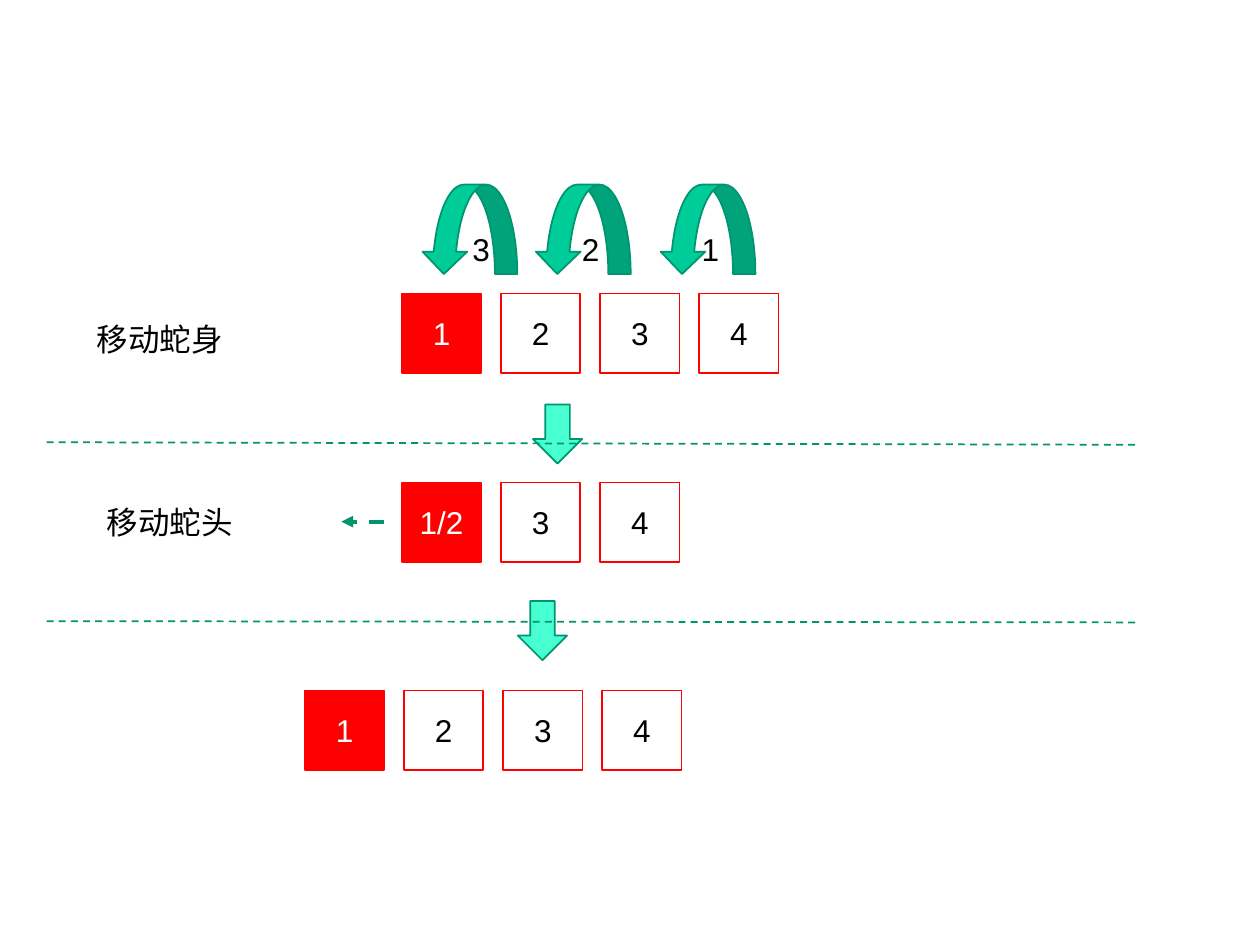
from dataclasses import dataclass

from lxml.etree import SubElement
from pptx import Presentation
from pptx.dml.color import RGBColor
from pptx.enum.dml import MSO_LINE
from pptx.enum.shapes import MSO_CONNECTOR, MSO_SHAPE
from pptx.enum.text import MSO_ANCHOR, MSO_AUTO_SIZE, PP_ALIGN
from pptx.oxml.ns import qn
from pptx.util import Inches, Pt


@dataclass(frozen=True)
class Theme:
    """Colours, font and sizes of the slide."""

    red: str = "FF0000"
    white: str = "FFFFFF"
    black: str = "000000"
    green: str = "00CC99"
    mint: str = "47FFD1"
    outline: str = "00956F"
    font: str = "Arial"
    text_size: int = 18
    thin: float = 1
    thick: float = 2.25


THEME = Theme()
CELL_SIZE = 0.63
CELL_STEP = 2.36 / 3


def add_painted_shape(slide, kind, left, top, width, height, fill, line):
    """Add a preset shape with a plain fill and a thin outline."""
    shape = slide.shapes.add_shape(
        kind, Inches(left), Inches(top), Inches(width), Inches(height))
    shape.shadow.inherit = False
    shape.fill.solid()
    shape.fill.fore_color.rgb = RGBColor.from_string(fill)
    shape.line.color.rgb = RGBColor.from_string(line)
    shape.line.width = Pt(THEME.thin)
    return shape


def write(shape, text, color, alignment):
    """Set and format the one line of text in a shape."""
    shape.text_frame.text = text
    paragraph = shape.text_frame.paragraphs[0]
    paragraph.alignment = alignment
    font = paragraph.runs[0].font
    font.name = THEME.font
    font.size = Pt(THEME.text_size)
    font.color.rgb = RGBColor.from_string(color)


def add_cell(slide, left, top, label, fill, color):
    """Draw one numbered square with a red outline."""
    shape = add_painted_shape(
        slide, MSO_SHAPE.RECTANGLE, left, top, CELL_SIZE, CELL_SIZE, fill, THEME.red)
    write(shape, label, color, PP_ALIGN.CENTER)
    shape.text_frame.vertical_anchor = MSO_ANCHOR.MIDDLE


def add_snake(slide, left, top, head, body):
    """Draw a row of white body cells behind a red head."""
    for index, label in enumerate(body, start=1):
        add_cell(slide, left + index * CELL_STEP, top, label, THEME.white, THEME.black)
    add_cell(slide, left, top, head, THEME.red, THEME.white)


def add_label(slide, left, top, width, text, wrap):
    """Add a text box that fits its text."""
    shape = slide.shapes.add_textbox(Inches(left), Inches(top), Inches(width), Inches(0.4))
    write(shape, text, THEME.black, PP_ALIGN.LEFT)
    shape.text_frame.word_wrap = wrap
    shape.text_frame.auto_size = MSO_AUTO_SIZE.SHAPE_TO_FIT_TEXT


def add_turned_arrow(slide, kind, left, top, width, height, fill):
    """Draw a rightward arrow turned to point down."""
    shape = add_painted_shape(slide, kind, left, top, width, height, fill, THEME.outline)
    shape.rotation = 90


def add_curved_arrow(slide, left):
    """Draw an arrow that bends over to the previous cell."""
    add_turned_arrow(
        slide, MSO_SHAPE.CURVED_RIGHT_ARROW, left, 1.44, 0.71, 0.76, THEME.green)


def add_step_arrow(slide, left, top):
    """Draw a block arrow that points down to the next step."""
    add_turned_arrow(slide, MSO_SHAPE.RIGHT_ARROW, left, top, 0.47, 0.39, THEME.mint)


def add_dashed_line(slide, start, end, width, arrow=False):
    """Draw a dashed line, with an arrowhead at its end if asked."""
    connector = slide.shapes.add_connector(
        MSO_CONNECTOR.STRAIGHT, *(Inches(value) for value in start + end))
    connector.line.color.rgb = RGBColor.from_string(THEME.outline)
    connector.line.width = Pt(width)
    connector.line.dash_style = MSO_LINE.DASH
    properties = connector._element.spPr
    if arrow:
        SubElement(properties.find(qn("a:ln")), qn("a:tailEnd"), type="triangle")
    SubElement(properties, qn("a:effectLst"))


def main():
    """Build the slide and save it."""
    presentation = Presentation()
    presentation.slide_width = Inches(10)
    presentation.slide_height = Inches(7.5)
    slide = presentation.slides.add_slide(presentation.slide_layouts[6])

    add_snake(slide, 3.19, 2.33, "1", ["2", "3", "4"])
    for left in (5.26, 4.27, 3.37):
        add_curved_arrow(slide, left)
    for left, text in ((5.47, "1"), (4.52, "2"), (3.65, "3")):
        add_label(slide, left, 1.78, 0.34, text, wrap=False)

    add_snake(slide, 3.19, 3.83, "1/2", ["3", "4"])
    add_step_arrow(slide, 4.19, 3.25)
    add_snake(slide, 2.42, 5.48, "1", ["2", "3", "4"])
    add_step_arrow(slide, 4.07, 4.81)

    add_dashed_line(slide, (3.05, 4.14), (2.71, 4.14), THEME.thick, arrow=True)
    add_dashed_line(slide, (0.37, 4.93), (9.01, 4.94), THEME.thin)
    add_dashed_line(slide, (0.37, 3.51), (9.01, 3.53), THEME.thin)
    add_label(slide, 0.67, 2.49, 1.48, "移动蛇身", wrap=True)
    add_label(slide, 0.75, 3.94, 1.49, "移动蛇头", wrap=True)
    presentation.save("out.pptx")


if __name__ == "__main__":
    main()
